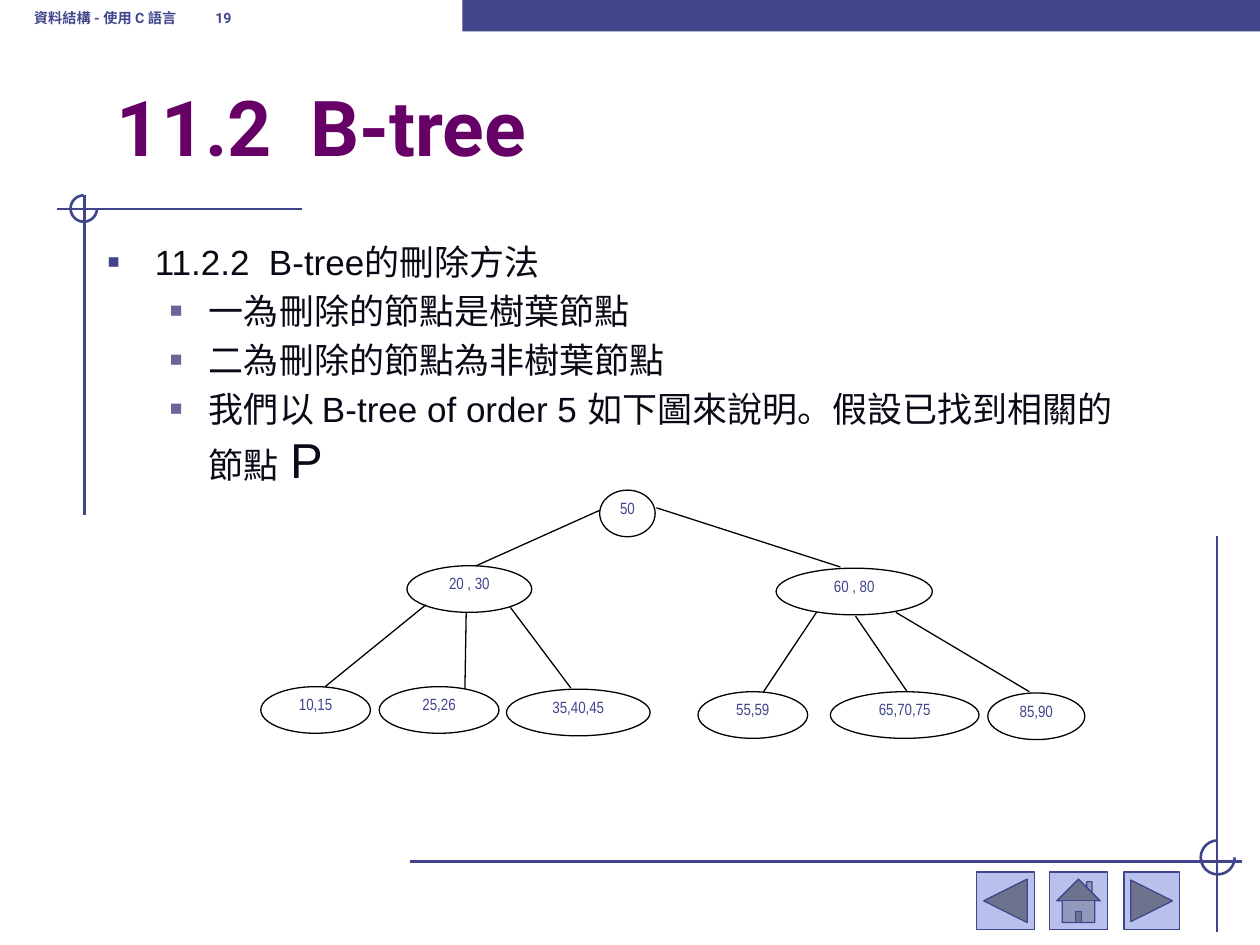
import dataclasses

import lxml.etree
import pptx
import pptx.dml.color
import pptx.enum.shapes
import pptx.enum.text
import pptx.oxml.ns
import pptx.util

Inches = pptx.util.Inches
Pt = pptx.util.Pt
Shape = pptx.enum.shapes.MSO_SHAPE
Anchor = pptx.enum.text.MSO_ANCHOR
qn = pptx.oxml.ns.qn


def rgb(value):
    return pptx.dml.color.RGBColor.from_string(value)


@dataclasses.dataclass(frozen=True)
class Theme:
    indigo = rgb("40458C")
    button = rgb("B7C1EB")
    purple = rgb("660066")
    ink = rgb("090A15")
    black = rgb("000000")
    sub_bullet = "666699"
    header_size = Pt(14)
    title_size = Pt(44)
    body_size = Pt(20)
    pointer_size = Pt(28)
    node_size = Pt(16)
    rule = Pt(1.5)
    thin = Pt(0.75)
    raised = "30000"


theme = Theme()
deck = pptx.Presentation()
deck.slide_width = Inches(10)
deck.slide_height = Inches(7.5)
slide = deck.slides.add_slide(deck.slide_layouts[6])
shapes = slide.shapes


def draw_line(x1, y1, x2, y2, color, width):
    line = shapes.add_connector(
        pptx.enum.shapes.MSO_CONNECTOR.STRAIGHT,
        Inches(x1), Inches(y1), Inches(x2), Inches(y2),
    )
    line.line.color.rgb = color
    line.line.width = width
    lxml.etree.SubElement(line._element.spPr, qn("a:effectLst"))


for rule in [
    (2.4, 1.66, 0.45, 1.66),
    (0.67, 1.55, 0.67, 4.09),
    (3.25, 6.84, 9.86, 6.84),
    (9.66, 4.25, 9.66, 7.4),
]:
    draw_line(*rule, theme.indigo, theme.rule)

for left, top, size in [(0.56, 1.55, 0.21), (9.53, 6.67, 0.27)]:
    ring = shapes.add_shape(
        Shape.ARC, Inches(left), Inches(top), Inches(size), Inches(size)
    )
    ring.adjustments[0] = 0
    ring.adjustments[1] = 162
    ring.shadow.inherit = False
    ring.fill.background()
    ring.line.color.rgb = theme.indigo
    ring.line.width = theme.rule

band = shapes.add_shape(Shape.RECTANGLE, Inches(3.67), 0, Inches(6.33), Inches(0.25))
band.shadow.inherit = False
band.fill.solid()
band.fill.fore_color.rgb = theme.indigo
band.line.fill.background()

for preset, left, width in [
    (Shape.ACTION_BUTTON_BACK_OR_PREVIOUS, 7.75, 0.46),
    (Shape.ACTION_BUTTON_HOME, 8.33, 0.46),
    (Shape.ACTION_BUTTON_FORWARD_OR_NEXT, 8.92, 0.44),
]:
    button = shapes.add_shape(
        preset, Inches(left), Inches(6.92), Inches(width), Inches(0.46)
    )
    button.shadow.inherit = False
    button.fill.solid()
    button.fill.fore_color.rgb = theme.button
    button.line.color.rgb = theme.indigo
    button.line.width = theme.thin

for text, left, top, width, height, size, color in [
    ("資料結構 - 使用 C 語言\t19", 0.17, -0.17, 3.08, 0.5, theme.header_size, theme.indigo),
    ("11.2  B-tree", 0.83, 0.58, 8.5, 0.83, theme.title_size, theme.purple),
]:
    heading = shapes.add_textbox(Inches(left), Inches(top), Inches(width), Inches(height))
    heading.text_frame.word_wrap = True
    heading.text_frame.vertical_anchor = Anchor.BOTTOM
    line = heading.text_frame.paragraphs[0]
    run = line.add_run()
    run.text = text
    if "\t" in text:
        tabs = lxml.etree.SubElement(line._p.get_or_add_pPr(), qn("a:tabLst"))
        lxml.etree.SubElement(tabs, qn("a:tab"), pos=str(Inches(1.44)), algn="l")
        run._r.get_or_add_rPr().set("baseline", theme.raised)
    line.font.name = "Roboto"
    line.font.size = size
    line.font.bold = True
    line.font.color.rgb = color

body = shapes.add_textbox(Inches(0.75), Inches(1.86), Inches(8.41), Inches(4.07))
body.text_frame.word_wrap = True
for index, (level, text) in enumerate([
    (0, "11.2.2  B-tree的刪除方法"),
    (1, "一為刪除的節點是樹葉節點"),
    (1, "二為刪除的節點為非樹葉節點"),
    (1, "我們以 B-tree of order 5 如下圖來說明。假設已找到相關的節點"),
]):
    point = body.text_frame.paragraphs[0] if index == 0 else body.text_frame.add_paragraph()
    point.level = level
    point.add_run().text = text
    margin, indent, mark, mark_color, mark_size = [
        (0.38, -0.38, "▪", str(theme.indigo), "110000"),
        (0.81, -0.31, "■", theme.sub_bullet, "60000"),
    ][level]
    layout = point._p.get_or_add_pPr()
    layout.set("marL", str(Inches(margin)))
    layout.set("indent", str(Inches(indent)))
    tint = lxml.etree.SubElement(layout, qn("a:buClr"))
    lxml.etree.SubElement(tint, qn("a:srgbClr"), val=mark_color)
    lxml.etree.SubElement(layout, qn("a:buSzPct"), val=mark_size)
    lxml.etree.SubElement(layout, qn("a:buFont"), typeface="Arial")
    lxml.etree.SubElement(layout, qn("a:buChar"), char=mark)
    if index:
        point.space_before = Pt(4)
    point.font.name = "Arial"
    point.font.size = theme.body_size
    point.font.color.rgb = theme.ink

pointer = point.add_run()
pointer.text = " P"
pointer.font.size = theme.pointer_size

for keys, left, top, width in [
    ("50", 4.76, 3.89, 0.44),
    ("20 , 30", 3.23, 4.49, 0.99),
    ("60 , 80", 6.16, 4.51, 1.24),
    ("10,15", 2.07, 5.45, 0.87),
    ("25,26", 3.01, 5.45, 0.95),
    ("35,40,45", 4.02, 5.47, 1.14),
    ("55,59", 5.54, 5.49, 0.87),
    ("65,70,75", 6.59, 5.49, 1.18),
    ("85,90", 7.84, 5.5, 0.77),
]:
    node = shapes.add_shape(
        Shape.OVAL, Inches(left), Inches(top), Inches(width), Inches(0.37)
    )
    node.shadow.inherit = False
    node.fill.background()
    node.line.color.rgb = theme.black
    node.line.width = theme.thin
    frame = node.text_frame
    frame.margin_left = frame.margin_right = frame.margin_top = frame.margin_bottom = 0
    frame.vertical_anchor = Anchor.TOP
    label = frame.paragraphs[0]
    label.alignment = pptx.enum.text.PP_ALIGN.CENTER
    label.line_spacing = 0.96
    run = label.add_run()
    run.text = keys
    run._r.get_or_add_rPr().set("baseline", theme.raised)
    label.font.name = "Arial Narrow"
    label.font.size = theme.node_size
    label.font.color.rgb = theme.indigo

for branch in [
    (3.78, 4.49, 4.76, 4.05),
    (5.21, 4.03, 6.67, 4.5),
    (2.58, 5.45, 3.38, 4.8),
    (4.05, 4.82, 4.53, 5.46),
    (3.69, 5.47, 3.7, 4.86),
    (6.48, 4.86, 6.06, 5.49),
    (7.11, 4.86, 8.17, 5.49),
    (6.79, 4.89, 7.2, 5.49),
]:
    draw_line(*branch, theme.black, theme.thin)

deck.save("out.pptx")
